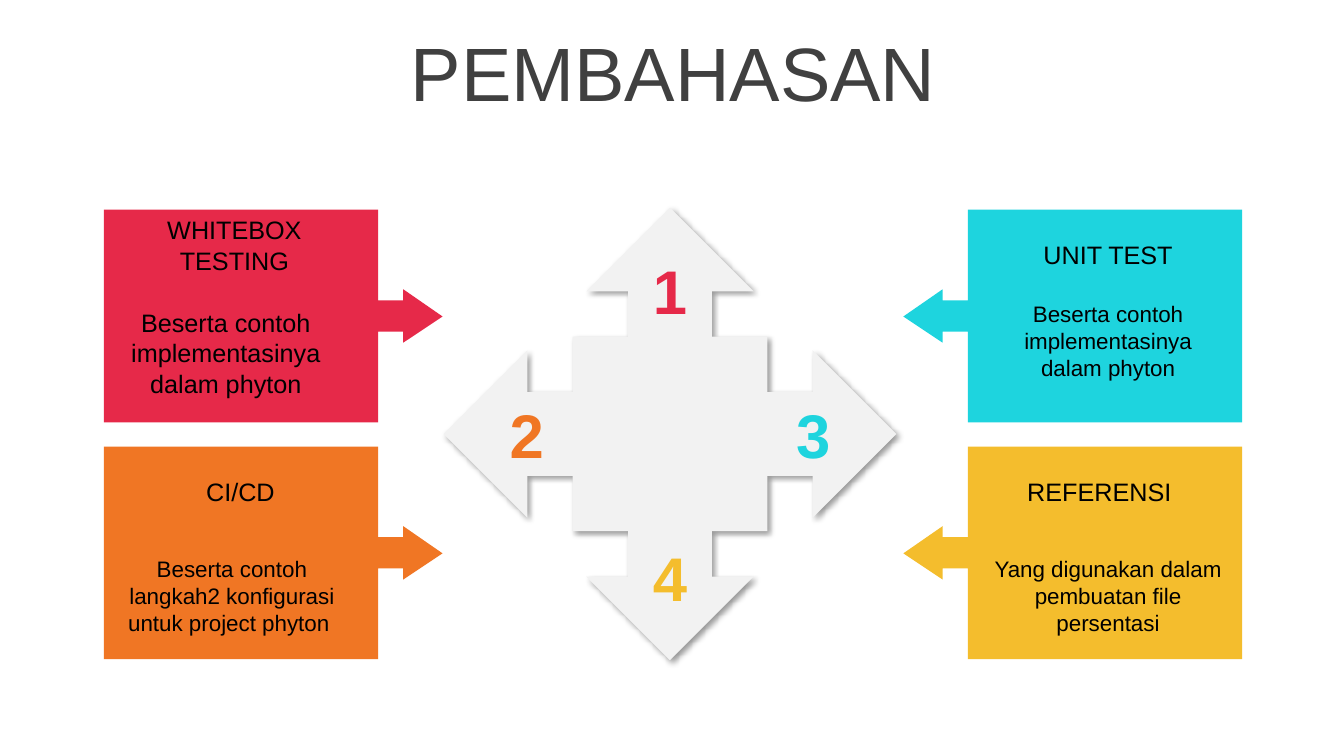
import pptx
import pptx.util
import pptx.dml.color
import pptx.enum.shapes
import pptx.enum.text
from lxml import etree

Inches, Pt = pptx.util.Inches, pptx.util.Pt
RGBColor = pptx.dml.color.RGBColor
ALIGN = pptx.enum.text.PP_ALIGN
ANCHOR = pptx.enum.text.MSO_ANCHOR
AUTO_SIZE = pptx.enum.text.MSO_AUTO_SIZE

RED = RGBColor(0xE6, 0x29, 0x49)
ORANGE = RGBColor(0xF0, 0x76, 0x24)
CYAN = RGBColor(0x1E, 0xD4, 0xDE)
YELLOW = RGBColor(0xF4, 0xBD, 0x2D)
PALE = RGBColor(0xF2, 0xF2, 0xF2)
DARK = RGBColor(0x40, 0x40, 0x40)
BLACK = RGBColor(0, 0, 0)

SHADOW = (
    '<a:effectLst xmlns:a="http://schemas.openxmlformats.org/drawingml/2006/main">'
    '<a:outerShdw blurRad="50800" dist="38100" dir="2700000" algn="tl" rotWithShape="0">'
    '<a:srgbClr val="000000"><a:alpha val="40000"/></a:srgbClr>'
    '</a:outerShdw></a:effectLst>')

# Card outline, measured from its outer top corner towards the centre
CARD_OUTLINE = [(0, 0), (2.72, 0), (2.72, 0.9), (2.97, 0.9), (2.97, 0.79),
                (3.36, 1.06), (2.97, 1.32), (2.97, 1.21), (2.72, 1.21),
                (2.72, 2.11), (0, 2.11)]


def add_run(p, text, size, color, bold=False):
    r = p.add_run()
    r.text = text
    r.font.name = "Arial"
    r.font.size = Pt(size)
    r.font.bold = bold
    r.font.color.rgb = color


def add_text(s, box, text, size, color=BLACK, bold=False, align=ALIGN.CENTER):
    tf = s.shapes.add_textbox(*[Inches(v) for v in box]).text_frame
    tf.word_wrap = True
    tf.auto_size = AUTO_SIZE.SHAPE_TO_FIT_TEXT
    p = tf.paragraphs[0]
    p.alignment = align
    add_run(p, text, size, color, bold)


def paint(sp, color):
    sp.shadow.inherit = False
    sp.fill.solid()
    sp.fill.fore_color.rgb = color
    sp.line.fill.background()


def add_title(s, left, top, width, height, text):
    sp = s.shapes.title
    sp.left, sp.top = Inches(left), Inches(top)
    sp.width, sp.height = Inches(width), Inches(height)
    tf = sp.text_frame
    tf.auto_size = AUTO_SIZE.NONE
    tf.vertical_anchor = ANCHOR.MIDDLE
    p = tf.paragraphs[0]
    p.alignment = ALIGN.CENTER
    p.line_spacing = 0.9
    p.space_before = Pt(10)
    add_run(p, text, 54, DARK)


def add_card(s, outer, top, direction, color, heading, body):
    """Card with an arrow; direction is 1 pointing right, -1 pointing left."""
    points = [(Inches(outer + direction * x), Inches(top + y))
              for x, y in CARD_OUTLINE]
    builder = s.shapes.build_freeform(*points[0], scale=1.0)
    builder.add_line_segments(points[1:], close=True)
    paint(builder.convert_to_shape(), color)

    # Text offsets are measured from the left edge of the rectangle
    left = outer if direction == 1 else outer - 2.72
    for (dx, dy, width, height), text, size, align in (heading, body):
        add_text(s, (left + dx, top + dy, width, height), text, size, align=align)


def add_hub(s, left, top, side):
    """Four-way arrow with a number on each arm."""
    sp = s.shapes.add_shape(pptx.enum.shapes.MSO_SHAPE.QUAD_ARROW_CALLOUT,
                            Inches(left), Inches(top), Inches(side), Inches(side))
    for i, value in enumerate((0.185, 0.185, 0.185, 0.43)):
        sp.adjustments[i] = value
    paint(sp, PALE)
    sp_pr = sp._element.spPr
    effects = sp_pr.find(pptx.oxml.ns.qn("a:effectLst"))
    sp_pr.replace(effects, etree.fromstring(SHADOW))

    width, height, reach = 0.68, 0.84, 1.42
    mid_x, mid_y = left + side / 2, top + side / 2
    arms = [("1", 0, -1, RED), ("2", -1, 0, ORANGE),
            ("3", 1, 0, CYAN), ("4", 0, 1, YELLOW)]
    for number, dx, dy, color in arms:
        box = (mid_x + dx * reach - width / 2, mid_y + dy * reach - height / 2,
               width, height)
        add_text(s, box, number, 44, color, bold=True)


def main():
    prs = pptx.Presentation()
    prs.slide_width, prs.slide_height = Inches(13.33), Inches(7.5)
    s = prs.slides.add_slide(prs.slide_layouts[5])

    add_title(s, 0.35, 0.37, 12.66, 0.79, "PEMBAHASAN")
    add_hub(s, 4.4, 2.06, 4.49)

    # Cards: two rows on each side of the hub
    left, right, upper, lower = 1.03, 12.32, 2.08, 4.43
    mid = ALIGN.CENTER
    add_card(s, left, upper, 1, RED,
             ((0.04, 0, 2.51, 1.01), "WHITEBOX TESTING", 18, mid),
             ((-0.02, 0.92, 2.46, 1.01),
              "Beserta contoh implementasinya dalam phyton", 18, mid))
    add_card(s, right, upper, -1, CYAN,
             ((0.28, 0.25, 2.22, 0.4), "UNIT TEST", 18, mid),
             ((0.28, 0.85, 2.22, 0.91),
              "Beserta contoh implementasinya dalam phyton", 16, mid))
    add_card(s, left, lower, 1, ORANGE,
             ((0.27, 0.25, 2.17, 0.4), "CI/CD", 18, mid),
             ((0.04, 1.03, 2.46, 0.91),
              "Beserta contoh langkah2 konfigurasi untuk project phyton ", 16, mid))
    add_card(s, right, lower, -1, YELLOW,
             ((0.49, 0.25, 2.3, 0.4), "REFERENSI", 18, ALIGN.LEFT),
             ((0.12, 1.03, 2.54, 0.91),
              "Yang digunakan dalam pembuatan file persentasi", 16, mid))

    prs.save("out.pptx")


if __name__ == "__main__":
    main()
